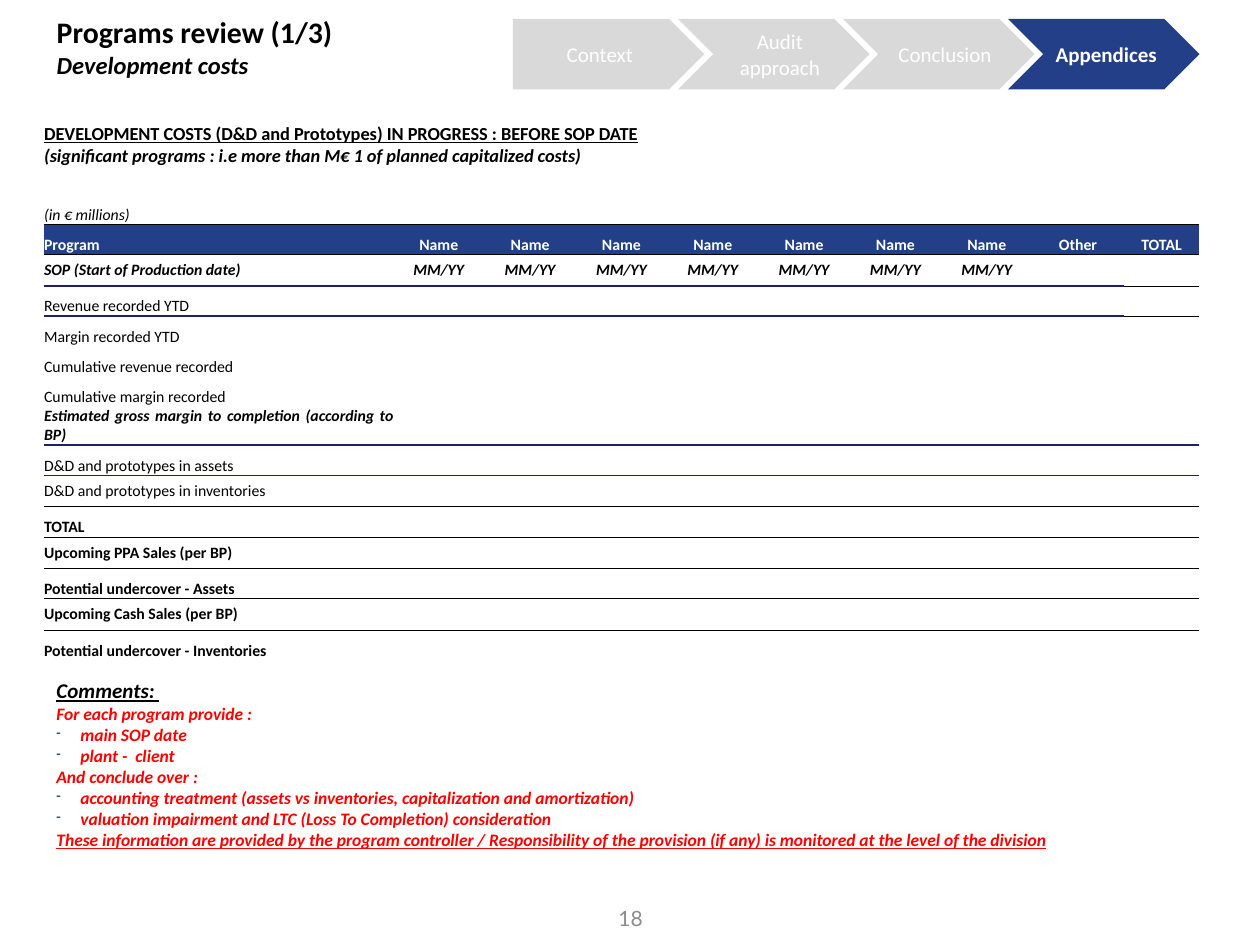
from dataclasses import dataclass
from typing import Optional

from lxml.etree import SubElement
from pptx import Presentation
from pptx.dml.color import RGBColor
from pptx.enum.shapes import MSO_SHAPE
from pptx.enum.text import MSO_ANCHOR, MSO_AUTO_SIZE, PP_ALIGN
from pptx.oxml.ns import qn
from pptx.util import Inches, Pt

COLORS = {"navy": "223F87", "rule": "1F206A", "bullet": "002060", "grey": "D9D9D9",
          "page": "8C8C8C", "red": "FF0000", "black": "000000", "white": "FFFFFF"}
SLIDE_W, SLIDE_H = 10, 7.5
LEFT, WIDTH = 0.035 * SLIDE_W, 0.917 * SLIDE_W
NO_STYLE = "{2D5ABB26-0587-4C30-8999-92F81FD0307C}"


@dataclass
class Style:
    size: float
    color: str = "black"
    bold: bool = False
    italic: bool = False
    underline: bool = False
    align: PP_ALIGN = PP_ALIGN.LEFT
    font: str = "Calibri"


@dataclass
class Row:
    label: str
    height: float = 0.24
    bold: bool = False
    italic: bool = False
    middle: bool = False
    line: Optional[tuple] = None  # colour and width of the rule below
    values: tuple = ()
    header: bool = False


@dataclass
class Step:
    label: str
    preset: MSO_SHAPE = MSO_SHAPE.CHEVRON
    active: bool = False


THIN, THICK = ("black", 0.5), ("rule", 1)
HEADING = ("DEVELOPMENT COSTS (D&D and Prototypes) IN PROGRESS : BEFORE SOP DATE",
           "(significant programs : i.e more than M€ 1 of planned capitalized costs)")
ROWS = [
    Row("", 0.53),
    Row("", 0.21),
    Row("(in € millions)", italic=True, line=THIN),
    Row("Program", bold=True, line=THIN, values=("Name",) * 7 + ("Other", "TOTAL"), header=True),
    Row("SOP (Start of Production date)", 0.25, True, True, True, THICK, ("MM/YY",) * 7),
    Row("Revenue recorded YTD"),
    Row("Margin recorded YTD"),
    Row("Cumulative revenue recorded"),
    Row("Cumulative margin recorded"),
    Row("Estimated gross margin to completion (according to BP)", 0.3, True, True, True, THICK),
    Row("D&D and prototypes in assets"),
    Row("D&D and prototypes in inventories", 0.25, middle=True, line=THIN),
    Row("TOTAL", bold=True),
    Row("Upcoming PPA Sales (per BP)", 0.25, True, middle=True, line=THIN),
    Row("Potential undercover - Assets", bold=True),
    Row("Upcoming Cash Sales (per BP)", 0.25, True, middle=True, line=THIN),
    Row("Potential undercover - Inventories", bold=True),
]
STEPS = [Step("Context", MSO_SHAPE.PENTAGON), Step("Audit approach"), Step("Conclusion"),
         Step("Appendices", active=True)]
COMMENTS = [
    ("For each program provide :", False),
    ("main SOP date", True),
    ("plant -  client ", True),
    ("And conclude over :", False),
    ("accounting treatment (assets vs inventories, capitalization and amortization)", True),
    ("valuation impairment and LTC (Loss To Completion) consideration ", True),
]
CLOSING = ("These information are provided by the program controller / Responsibility of the "
           "provision (if any) is monitored at the level of the division")


def rgb(name: str) -> RGBColor:
    return RGBColor.from_string(COLORS[name])


def write(p, text: str, st: Style) -> None:
    p.text = text
    p.alignment = st.align
    for r in p.runs:
        f = r.font
        f.name, f.size, f.color.rgb = st.font, Pt(st.size), rgb(st.color)
        f.bold, f.italic, f.underline = st.bold, st.italic, st.underline


def fill_frame(tf, lines: list) -> None:
    for i, (text, st) in enumerate(lines):
        write(tf.paragraphs[0] if i == 0 else tf.add_paragraph(), text, st)


def add_text(s, box: tuple, lines: list):
    tf = s.shapes.add_textbox(*map(Inches, box)).text_frame
    tf.word_wrap = True
    fill_frame(tf, lines)
    return tf


def add_dash(p) -> None:
    pPr = p._p.get_or_add_pPr()
    pPr.set("marL", str(Inches(0.19)))
    pPr.set("indent", str(-Inches(0.19)))
    clr = SubElement(pPr, qn("a:buClr"))
    SubElement(clr, qn("a:srgbClr"), val=COLORS["bullet"])
    SubElement(pPr, qn("a:buSzPct"), val="75000")
    SubElement(pPr, qn("a:buChar"), char="-")


def set_border(cell, side: str, line: Optional[tuple]) -> None:
    if line:
        color, width = line
        ln = SubElement(cell._tc.get_or_add_tcPr(), qn(f"a:{side}"), w=str(Pt(width)))
        SubElement(SubElement(ln, qn("a:solidFill")), qn("a:srgbClr"), val=COLORS[color])


def fill_cell(cell, row: Row, above: Optional[tuple], below: Optional[tuple],
              text: str, align: PP_ALIGN) -> None:
    cell.margin_left = cell.margin_right = cell.margin_top = cell.margin_bottom = 0
    cell.vertical_anchor = MSO_ANCHOR.MIDDLE if row.middle else MSO_ANCHOR.BOTTOM
    set_border(cell, "lnT", above)
    set_border(cell, "lnB", below)
    if row.header:
        cell.fill.solid()
        cell.fill.fore_color.rgb = rgb("navy")
    else:
        cell.fill.background()
    p = cell.text_frame.paragraphs[0]
    if text:
        write(p, text, Style(9, "white" if row.header else "black", row.bold, row.italic,
                             align=align))
    else:
        p._p.get_or_add_endParaRPr().set("sz", "900")


def add_cost_table(s) -> None:
    first, last, middle_count = 2.77, 0.6, 8
    widths = [first] + [(WIDTH - first - last) / middle_count] * middle_count + [last]
    height = sum(row.height for row in ROWS)
    table = s.shapes.add_table(len(ROWS), len(widths), Inches(LEFT), Inches(0.8),
                               Inches(WIDTH), Inches(height)).table
    table.first_row = table.horz_banding = False
    table._tbl.tblPr.find(qn("a:tableStyleId")).text = NO_STYLE
    for col, width in zip(table.columns, widths):
        col.width = Inches(width)
    above = [None] * len(widths)
    for i, row in enumerate(ROWS):
        table.rows[i].height = Inches(row.height)
        below = [row.line] * len(widths)
        if row.label.startswith("SOP"):
            below[-1] = THIN
        for j in range(len(widths)):
            values = (row.label,) + row.values
            label_align = PP_ALIGN.JUSTIFY if row.middle else PP_ALIGN.LEFT
            fill_cell(table.cell(i, j), row, above[j], below[j],
                      values[j] if j < len(values) else "",
                      PP_ALIGN.CENTER if j else label_align)
        above = below
    # Heading across the first four columns
    table.cell(0, 0).merge(table.cell(0, 3))
    fill_frame(table.cell(0, 0).text_frame,
               [(HEADING[0], Style(10.5, bold=True, underline=True)),
                (HEADING[1], Style(10.5, bold=True, italic=True))])


def add_step(s, index: int, step: Step) -> None:
    sp = s.shapes.add_shape(step.preset, Inches(4.07 + 1.31 * index), Inches(0.02 * SLIDE_H),
                            Inches(1.52), Inches(0.56))
    sp.shadow.inherit = False
    sp.fill.solid()
    sp.fill.fore_color.rgb = rgb("navy" if step.active else "grey")
    sp.line.fill.background()
    tf = sp.text_frame
    tf.word_wrap = True
    tf.vertical_anchor = MSO_ANCHOR.MIDDLE
    tf.margin_left = tf.margin_top = tf.margin_bottom = Inches(0.1)
    tf.margin_right = Inches(0 if step.preset == MSO_SHAPE.CHEVRON else 0.1)
    write(tf.paragraphs[0], step.label,
          Style(12, "white", step.active, align=PP_ALIGN.LEFT if step.active else PP_ALIGN.CENTER))


def main() -> None:
    prs = Presentation()
    prs.slide_width, prs.slide_height = Inches(SLIDE_W), Inches(SLIDE_H)
    s = prs.slides.add_slide(prs.slide_layouts[5])
    # Title
    title = s.shapes.title
    title.left, title.top, title.width, title.height = map(Inches, (LEFT, 0.06, WIDTH, 0.93))
    title.text_frame.vertical_anchor = MSO_ANCHOR.TOP
    title.text_frame.auto_size = MSO_AUTO_SIZE.NONE
    fill_frame(title.text_frame, [("Programs review (1/3)", Style(17, bold=True)),
                                  ("Development costs", Style(14, bold=True, italic=True))])
    add_cost_table(s)
    # Comments
    note = Style(10, "red", True, True, align=PP_ALIGN.JUSTIFY)
    lines = [("Comments: ", Style(12, "black", True, True, True, PP_ALIGN.JUSTIFY))]
    lines += [(text, note) for text, _ in COMMENTS]
    lines.append((CLOSING, Style(10, "red", True, True, True, PP_ALIGN.JUSTIFY)))
    tf = add_text(s, (LEFT, 5.33, WIDTH, 1.48), lines)
    for p, (_, dashed) in zip(tf.paragraphs[1:], COMMENTS):
        if dashed:
            add_dash(p)
    # Progress steps
    for i, step in enumerate(STEPS):
        add_step(s, i, step)
    # Page number
    tf = add_text(s, (2.95, 7.09, 2.25, 0.4),
                  [("18", Style(12, "page", align=PP_ALIGN.RIGHT, font="Lato"))])
    tf.vertical_anchor = MSO_ANCHOR.MIDDLE
    prs.save("out.pptx")


if __name__ == "__main__":
    main()
